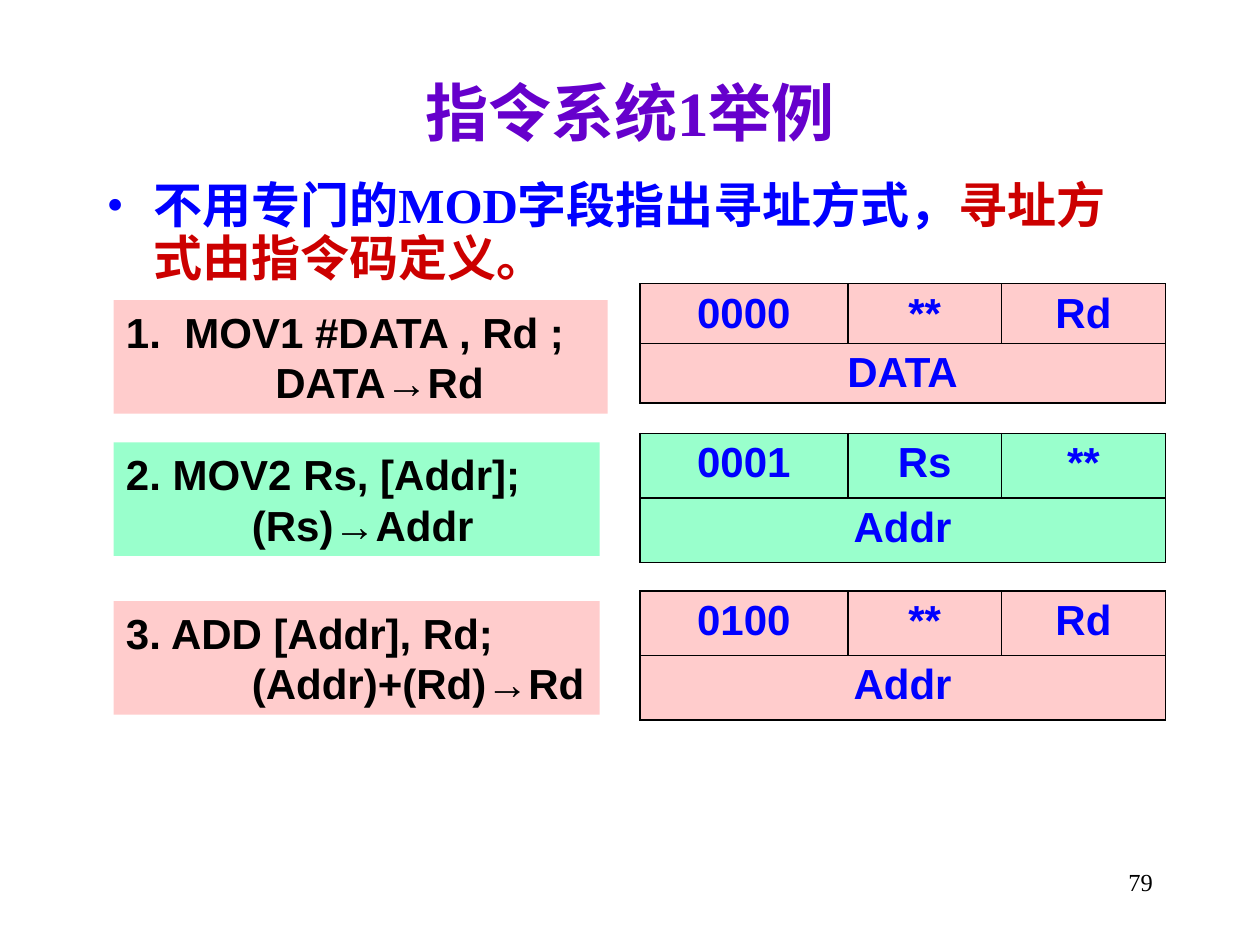
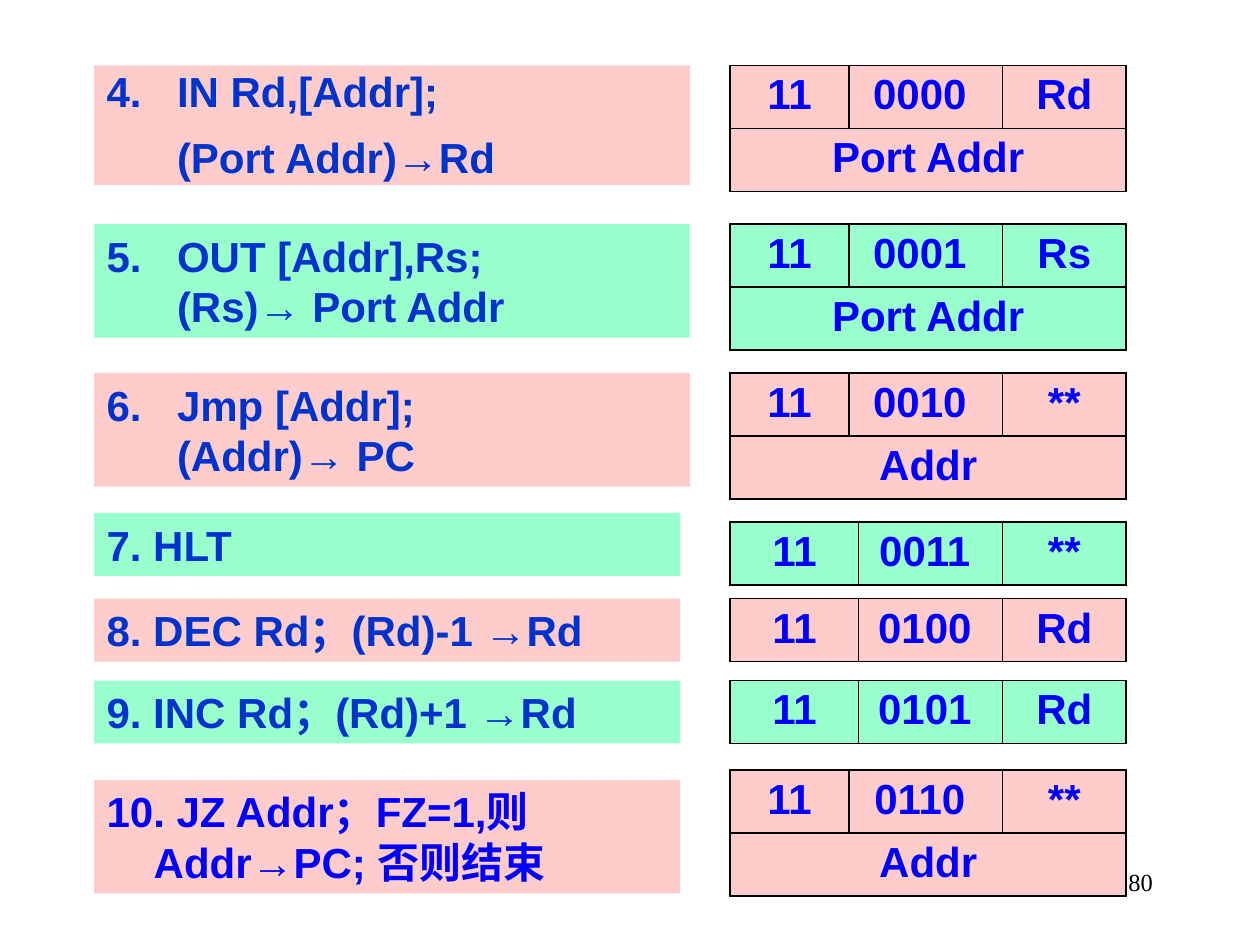
"""Builds two slides of instruction formats for instruction system 1."""
from dataclasses import dataclass

import pptx
import pptx.dml.color
import pptx.enum.shapes
import pptx.enum.text
import pptx.oxml
import pptx.oxml.ns
import pptx.util

Cm = pptx.util.Cm
Pt = pptx.util.Pt
Align = pptx.enum.text.PP_ALIGN
Anchor = pptx.enum.text.MSO_ANCHOR

SANS, SERIF = "Arial", "Times New Roman"
PURPLE, BLUE, RED, NAVY, BLACK = "6600CC", "0000FF", "CC0000", "0033CC", "000000"
ROW_FILLS = ("FFCCCC", "99FFCC")
CODE_SIZE = 24
SHORT_ROW = 1.27


@dataclass(frozen=True)
class Line:
    """One line of an instruction, with indents in cm and spacing."""

    text: str
    margin: float = 0
    hanging: float = 0
    spacing: float = 1.0
    after: float = 0


@dataclass(frozen=True)
class Instruction:
    """An instruction box and the table with its binary format, in cm."""

    top: float
    width: float
    height: float
    lines: tuple[Line, ...]
    table_top: float
    columns: tuple[float, ...]
    fields: tuple[str, ...]
    operand: str = ""
    row_height: float = SHORT_ROW
    color: str = NAVY


def numbered(number: int, code: str, effect: str, spacing: float = 1.0,
             after: float = 0) -> tuple[Line, ...]:
    """Return a numbered code line and its effect, aligned on one indent."""
    return (Line(f"{number}.\t{code}", 1.42, 1.42, spacing, after),
            Line(effect, 1.42, spacing=spacing))


MOVE_COLUMNS = (4.19, 3.1, 3.3)
LONG_COLUMNS = (2.39, 3.1, 2.49)
SHORT_COLUMNS = (2.59, 2.9, 2.49)

MEMORY_INSTRUCTIONS = (
    Instruction(6.05, 9.96, 2.29,
                (Line("1.\tMOV1 #DATA , Rd ;", 1.18, 1.18), Line("DATA→Rd", 3.01)),
                5.72, MOVE_COLUMNS, ("0000", "**", "Rd"), "DATA", 1.2, BLACK),
    Instruction(8.92, 9.8, 2.29,
                (Line("2. MOV2 Rs, [Addr];"), Line("(Rs)→Addr", 2.54)),
                8.74, MOVE_COLUMNS, ("0001", "Rs", "**"), "Addr", 1.3, BLACK),
    Instruction(12.12, 9.8, 2.29,
                (Line("3. ADD [Addr], Rd;"), Line("(Addr)+(Rd)→Rd", 2.54)),
                11.91, MOVE_COLUMNS, ("0100", "**", "Rd"), "Addr", 1.3, BLACK),
)
CONTROL_INSTRUCTIONS = (
    Instruction(1.32, 12.01, 2.41, numbered(4, "IN Rd,[Addr];", "(Port Addr)→Rd", 0.9, 11.5),
                1.32, LONG_COLUMNS, ("11", "0000 ", "Rd"), "Port Addr"),
    Instruction(4.52, 12.01, 2.29, numbered(5, "OUT [Addr],Rs;", "(Rs)→ Port Addr"),
                4.52, LONG_COLUMNS, ("11", "0001 ", "Rs"), "Port Addr"),
    Instruction(7.52, 12.01, 2.29, numbered(6, "Jmp [Addr];", "(Addr)→ PC"),
                7.52, LONG_COLUMNS, ("11", "0010 ", "**"), "Addr"),
    Instruction(10.34, 11.81, SHORT_ROW, (Line("7. HLT"),),
                10.52, SHORT_COLUMNS, ("11", "0011 ", "**")),
    Instruction(12.07, 11.81, SHORT_ROW, (Line("8. DEC Rd；(Rd)-1 →Rd"),),
                12.07, SHORT_COLUMNS, ("11", "0100 ", "Rd")),
    Instruction(13.72, 11.81, SHORT_ROW, (Line("9. INC Rd；(Rd)+1 →Rd"),),
                13.72, SHORT_COLUMNS, ("11", "0101 ", "Rd")),
    Instruction(15.72, 11.81, 2.29,
                (Line("10. JZ Addr；FZ=1,则"), Line("Addr→PC; 否则结束", 0.95)),
                15.52, LONG_COLUMNS, ("11", "0110 ", "**"), "Addr", color=BLUE),
)


def rgb(color: str) -> pptx.dml.color.RGBColor:
    """Turn a hex string into a colour."""
    return pptx.dml.color.RGBColor.from_string(color)


def style_runs(para, font: str, size: float, color: str, bold: bool = True) -> None:
    """Format every run of a paragraph."""
    for span in para.runs:
        span.font.name = font
        span.font.size = Pt(size)
        span.font.bold = bold
        span.font.color.rgb = rgb(color)


def add_xml(parent, markup: str) -> None:
    """Append a drawing element to its parent."""
    name, rest = markup[1:].split(" ", 1)
    namespace = pptx.oxml.ns.nsdecls("a")
    parent.append(pptx.oxml.parse_xml(f"<{name} {namespace} {rest}"))


def set_indent(para, margin: float, hanging: float) -> None:
    """Set the left margin and the hanging indent of a paragraph."""
    properties = para._p.get_or_add_pPr()
    properties.set("marL", str(int(Cm(margin))))
    properties.set("indent", str(-int(Cm(hanging))))


def add_instruction_box(page, item: Instruction, left: float, fill: str, anchor) -> None:
    """Draw the coloured box with the lines of an instruction."""
    box = page.shapes.add_shape(pptx.enum.shapes.MSO_SHAPE.RECTANGLE, Cm(left),
                                Cm(item.top), Cm(item.width), Cm(item.height))
    box.shadow.inherit = False
    box.fill.solid()
    box.fill.fore_color.rgb = rgb(fill)
    box.line.fill.background()
    frame = box.text_frame
    frame.word_wrap = True
    frame.vertical_anchor = anchor
    frame.text = "\n".join(line.text for line in item.lines)
    for para, line in zip(frame.paragraphs, item.lines):
        set_indent(para, line.margin, line.hanging)
        para.alignment = Align.LEFT
        para.line_spacing = line.spacing
        para.space_after = Pt(line.after)
        style_runs(para, SANS, CODE_SIZE, item.color)


def style_cell(cell, fill: str) -> None:
    """Give a table cell its borders, fill and text style."""
    properties = cell._tc.get_or_add_tcPr()
    for side in "LRTB":
        add_xml(properties, f'<a:ln{side} w="12700"><a:solidFill><a:srgbClr val="{BLACK}"/>'
                            f"</a:solidFill></a:ln{side}>")
    cell.fill.solid()
    cell.fill.fore_color.rgb = rgb(fill)
    cell.margin_bottom = Cm(0.05)
    para = cell.text_frame.paragraphs[0]
    para.alignment = Align.CENTER
    style_runs(para, SANS, CODE_SIZE, BLUE)


def add_format_table(page, item: Instruction, left: float, fill: str) -> None:
    """Draw the table with the fields and the operand of an instruction."""
    row_count = 2 if item.operand else 1
    table = page.shapes.add_table(row_count, len(item.columns), Cm(left), Cm(item.table_top),
                                  Cm(sum(item.columns)), Cm(row_count * item.row_height)).table
    for column, width in zip(table.columns, item.columns):
        column.width = Cm(width)
    for index, field in enumerate(item.fields):
        table.cell(0, index).text = field
    if item.operand:
        table.cell(1, 0).merge(table.cell(1, len(item.columns) - 1))
        table.cell(1, 0).text = item.operand
    for cell in table.iter_cells():
        style_cell(cell, fill)


def add_instructions(page, items: tuple[Instruction, ...], box_left: float,
                     table_left: float, anchor) -> None:
    """Draw instructions with alternating fills."""
    for index, item in enumerate(items):
        fill = ROW_FILLS[index % len(ROW_FILLS)]
        add_instruction_box(page, item, box_left, fill, anchor)
        add_format_table(page, item, table_left, fill)


def add_page_number(page, number: int) -> None:
    """Write the page number at the bottom right."""
    box = page.shapes.add_textbox(Cm(18.21), Cm(17.35), Cm(5.28), Cm(1.27))
    box.text_frame.word_wrap = True
    box.text_frame.text = str(number)
    para = box.text_frame.paragraphs[0]
    para.alignment = Align.RIGHT
    style_runs(para, SERIF, 14, BLACK, bold=False)


def set_title(page, text: str) -> None:
    """Place and format the title placeholder."""
    title = page.shapes.title
    title.left, title.top, title.width, title.height = Cm(1.9), Cm(1.32), Cm(21.6), Cm(1.83)
    title.text_frame.text = text
    title.text_frame.vertical_anchor = Anchor.MIDDLE
    para = title.text_frame.paragraphs[0]
    para.alignment = Align.CENTER
    style_runs(para, SERIF, 36, PURPLE)


def add_summary(page, statement: str, emphasis: str) -> None:
    """Write the bulleted summary with its emphasised ending."""
    box = page.shapes.add_textbox(Cm(1.9), Cm(3.53), Cm(21.6), Cm(2.41))
    box.text_frame.word_wrap = True
    para = box.text_frame.paragraphs[0]
    set_indent(para, 0.95, 0.95)
    for markup in (f'<a:buClr ><a:srgbClr val="{BLUE}"/></a:buClr>',
                   f'<a:buFont typeface="{SERIF}"/>', '<a:buChar char="•"/>'):
        add_xml(para._p.get_or_add_pPr(), markup)
    para.line_spacing = 0.9
    for text in (statement, emphasis):
        para.add_run().text = text
    style_runs(para, SERIF, 28, BLUE)
    para.runs[-1].font.color.rgb = rgb(RED)


def main() -> None:
    """Build and save the deck."""
    deck = pptx.Presentation()
    deck.slide_width, deck.slide_height = Cm(25.4), Cm(19.05)
    title_only, blank = deck.slide_layouts[5], deck.slide_layouts[6]

    page = deck.slides.add_slide(title_only)
    set_title(page, "指令系统1举例")
    add_summary(page, "不用专门的MOD字段指出寻址方式，", "寻址方式由指令码定义。")
    add_instructions(page, MEMORY_INSTRUCTIONS, 2.29, 12.9, Anchor.MIDDLE)
    add_page_number(page, 79)

    page = deck.slides.add_slide(blank)
    add_instructions(page, CONTROL_INSTRUCTIONS, 1.9, 14.72, Anchor.TOP)
    add_page_number(page, 80)

    deck.save("out.pptx")


if __name__ == "__main__":
    main()
